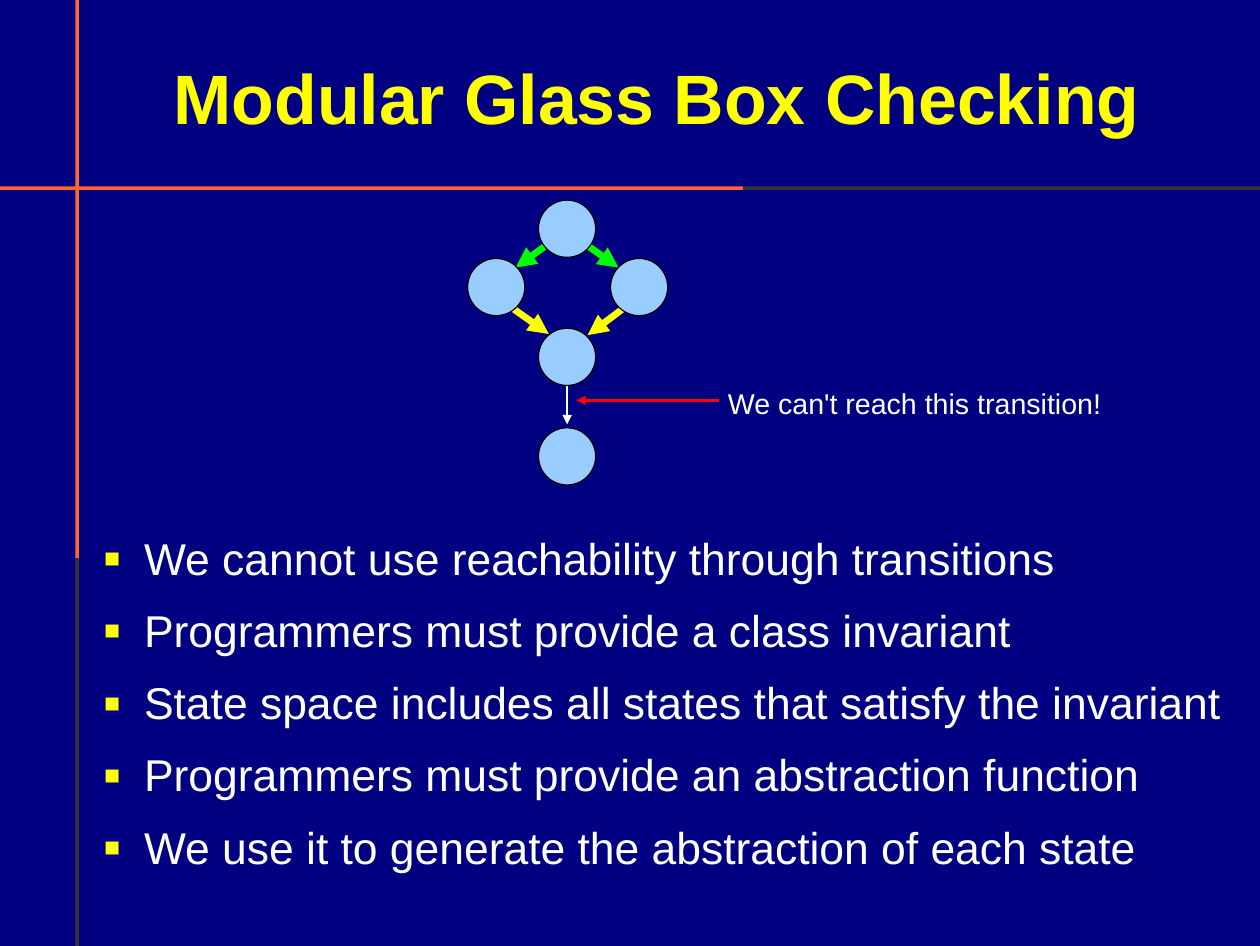
from lxml.etree import SubElement
from pptx import Presentation
from pptx.dml.color import RGBColor
from pptx.enum.shapes import MSO_CONNECTOR, MSO_SHAPE
from pptx.enum.text import MSO_ANCHOR, MSO_AUTO_SIZE, PP_ALIGN
from pptx.oxml.ns import qn
from pptx.util import Inches, Pt

NAVY = RGBColor(0x00, 0x00, 0x80)
ORANGE = RGBColor(0xFF, 0x66, 0x33)
GREY = RGBColor(0x33, 0x33, 0x33)
YELLOW = RGBColor(0xFF, 0xFF, 0x00)
GREEN = RGBColor(0x00, 0xFF, 0x00)
RED = RGBColor(0xFF, 0x00, 0x00)
WHITE = RGBColor(0xFF, 0xFF, 0xFF)
BLACK = RGBColor(0x00, 0x00, 0x00)
SKY = RGBColor(0x99, 0xCC, 0xFF)

TITLE = "Modular Glass Box Checking"
LABEL = "We can't reach this transition!"
POINTS = [
    "We cannot use reachability through transitions",
    "Programmers must provide a class invariant",
    "State space includes all states that satisfy the invariant",
    "Programmers must provide an abstraction function",
    "We use it to generate the abstraction of each state",
]
WIDE, HIGH = 11.02, 8.27
SPLIT = 0.59
THICK = 0.03
NODE = 0.5
NODES = [(4.71, 1.75), (4.09, 2.26), (5.34, 2.26), (4.71, 2.87), (4.71, 3.74)]
ARROWS = [
    (4.96, 3.21, 4.96, 3.71, WHITE, 1.45),
    (4.88, 2.07, 4.51, 2.34, GREEN, 4.31),
    (5.03, 2.07, 5.41, 2.34, GREEN, 4.31),
    (4.42, 2.65, 4.8, 2.92, YELLOW, 4.31),
    (5.5, 2.66, 5.14, 2.93, YELLOW, 4.31),
    (6.29, 3.5, 5.04, 3.5, RED, 1.45),
]

deck = Presentation()
deck.slide_width, deck.slide_height = Inches(WIDE), Inches(HIGH)
slide = deck.slides.add_slide(deck.slide_layouts[1])
slide.background.fill.solid()
slide.background.fill.fore_color.rgb = NAVY
shapes = slide.shapes


def place(shape, left, top, width, height):
    shape.left, shape.top = Inches(left), Inches(top)
    shape.width, shape.height = Inches(width), Inches(height)


def add_form(kind, box, fill, edge=None):
    form = shapes.add_shape(kind, *map(Inches, box))
    form.shadow.inherit = False
    form.fill.solid()
    form.fill.fore_color.rgb = fill
    if edge is None:
        form.line.fill.background()
    else:
        form.line.color.rgb = edge
        form.line.width = Pt(0.75)


def add_arrow(x1, y1, x2, y2, color, width):
    arrow = shapes.add_connector(MSO_CONNECTOR.STRAIGHT, *map(Inches, (x1, y1, x2, y2)))
    arrow.line.color.rgb = color
    arrow.line.width = Pt(width)
    SubElement(arrow.line._get_or_add_ln(), qn("a:tailEnd"), type="triangle")
    SubElement(arrow._element.spPr, qn("a:effectLst"))


def add_bullet(para):
    props = para._p.get_or_add_pPr()
    props.set("marL", str(Inches(0.47)))
    props.set("indent", str(Inches(-0.35)))
    tint = SubElement(props, qn("a:buClr"))
    SubElement(tint, qn("a:srgbClr"), val=str(YELLOW))
    SubElement(props, qn("a:buSzPct"), val="60000")
    SubElement(props, qn("a:buFont"), typeface="Arial")
    SubElement(props, qn("a:buChar"), char="■")


def write(shape, lines, size, color, bold=False, align=PP_ALIGN.CENTER,
          anchor=MSO_ANCHOR.TOP, inset=(0, 0.04, 0, 0), after=0, bullet=False, wrap=True):
    frame = shape.text_frame
    frame.auto_size = MSO_AUTO_SIZE.NONE
    frame.word_wrap = wrap
    frame.vertical_anchor = anchor
    (frame.margin_left, frame.margin_top,
     frame.margin_right, frame.margin_bottom) = map(Inches, inset)
    frame.text = "\n".join(lines)
    for para in frame.paragraphs:
        para.alignment = align
        para.line_spacing = 0.93
        para.space_before, para.space_after = Pt(0), Pt(after)
        if bullet:
            add_bullet(para)
        font = para.runs[0].font
        font.name, font.size, font.bold = "Arial", Pt(size), bold
        font.color.rgb = color


for start, end, color in [(0, SPLIT, ORANGE), (SPLIT, 1, GREY)]:
    span = end - start
    add_form(MSO_SHAPE.RECTANGLE, (start * WIDE, 1.63, span * WIDE, THICK), color)
    add_form(MSO_SHAPE.RECTANGLE, (0.66, start * HIGH, THICK, span * HIGH), color)

for arrow in ARROWS:
    add_arrow(*arrow)
for left, top in NODES:
    add_form(MSO_SHAPE.OVAL, (left, top, NODE, NODE), SKY, BLACK)

label = shapes.add_textbox(*map(Inches, (6.25, 3.33, 3.5, 0.38)))
write(label, [LABEL], 18, WHITE, inset=(0.1, 0.07, 0.1, 0.05), wrap=False)

title, body = slide.placeholders
place(title, 0.79, 0.17, 9.92, 1.38)
write(title, [TITLE], 44, YELLOW, bold=True, anchor=MSO_ANCHOR.MIDDLE)
place(body, 0.79, 4.64, 10.2, 3.11)
write(body, POINTS, 28, WHITE, align=PP_ALIGN.LEFT, after=14.2, bullet=True)

deck.save("out.pptx")
